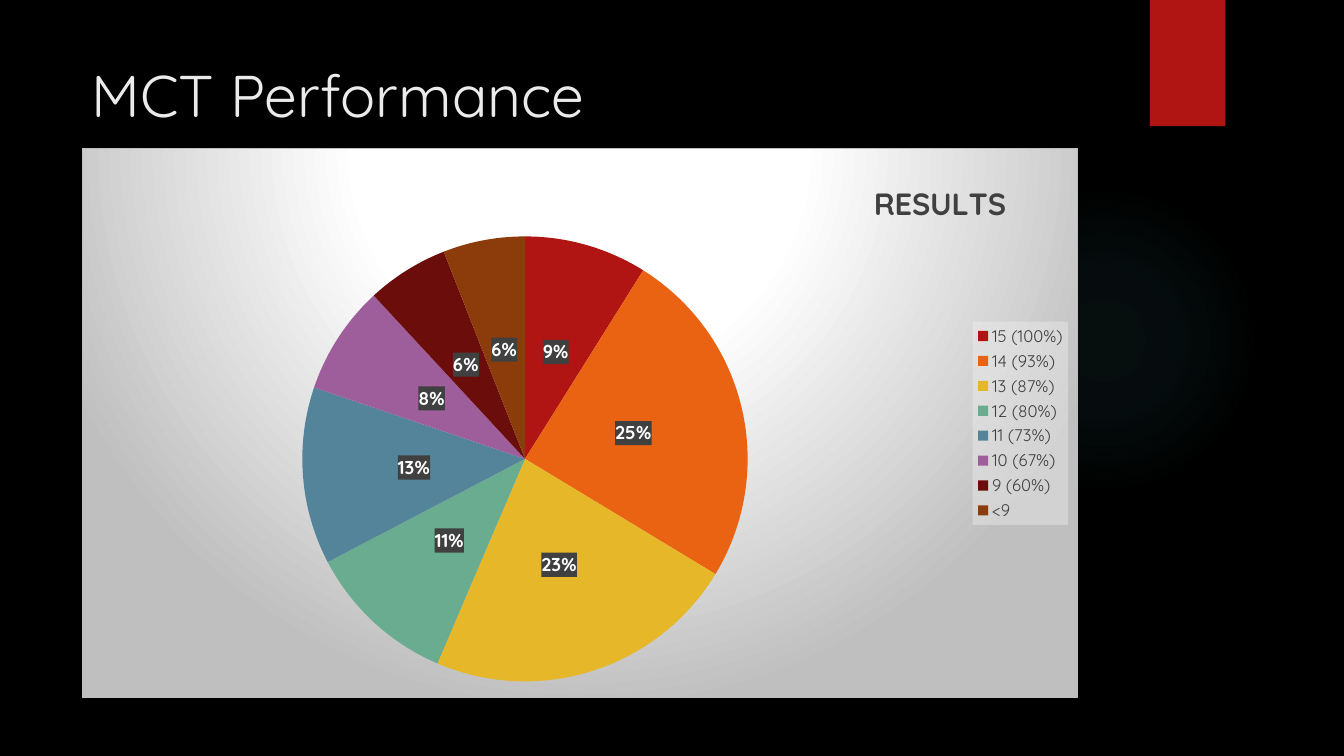
import pptx
import pptx.chart.data
import pptx.dml.color
import pptx.enum.chart
import pptx.enum.shapes
import pptx.enum.text
import pptx.oxml
import pptx.oxml.ns
import pptx.util

Cm = pptx.util.Cm
Pt = pptx.util.Pt

# Score band, share of results in percent, slice colour
RESULTS = [
    ("15 (100%)", 9, "B01513"),
    ("14 (93%)", 25, "EA6312"),
    ("13 (87%)", 23, "E6B729"),
    ("12 (80%)", 11, "6AAC90"),
    ("11 (73%)", 13, "54849A"),
    ("10 (67%)", 8, "9E5E9B"),
    ("9 (60%)", 6, "6A0D0B"),
    ("<9", 6, "8C3B0B"),
]


def color(value):
    return pptx.dml.color.RGBColor.from_string(value)


def parse_xml(text):
    """Parse a fragment, declaring the drawing and chart namespaces."""
    tag_end = min(text.index(mark) for mark in " >" if mark in text)
    namespaces = pptx.oxml.ns.nsdecls("a", "c")
    return pptx.oxml.parse_xml(f"{text[:tag_end]} {namespaces}{text[tag_end:]}")


def solid_fill(value, alpha=100):
    return (f'<a:solidFill><a:srgbClr val="{value}"><a:alpha val="{alpha * 1000}"/>'
            '</a:srgbClr></a:solidFill>')


def radial_fill(stops, focus):
    """Circular gradient from (position, colour, alpha) stops, all in percent."""
    stop_xml = "".join(
        f'<a:gs pos="{position * 1000}"><a:srgbClr val="{value}">'
        f'<a:alpha val="{alpha * 1000}"/></a:srgbClr></a:gs>'
        for position, value, alpha in stops)
    sides = " ".join(f'{side}="{share * 1000}"' for side, share in zip("ltrb", focus))
    return (f'<a:gradFill rotWithShape="1"><a:gsLst>{stop_xml}</a:gsLst>'
            f'<a:path path="circle"><a:fillToRect {sides}/></a:path></a:gradFill>')


def chart_properties(fill, line="<a:ln><a:noFill/></a:ln>"):
    return parse_xml(f"<c:spPr>{fill}{line}</c:spPr>")


def place(element, x, y, width=None, height=None, inner=False):
    """Set the manual layout of a chart part as shares of the chart."""
    for old_layout in element.xpath("./c:layout"):
        element.remove(old_layout)
    target = '<c:layoutTarget val="inner"/>' if inner else ""
    sizes = f'<c:w val="{width}"/><c:h val="{height}"/>' if width else ""
    layout = parse_xml(
        f'<c:layout><c:manualLayout>{target}<c:xMode val="edge"/><c:yMode val="edge"/>'
        f'<c:x val="{x}"/><c:y val="{y}"/>{sizes}</c:manualLayout></c:layout>')
    overlay = element.xpath("./c:overlay")
    if overlay:
        overlay[0].addprevious(layout)
    else:
        element.insert(0, layout)


class SlideBuilder:
    font_name = "Quicksand"

    def __init__(self, presentation, background):
        self.slide = presentation.slides.add_slide(presentation.slide_layouts[6])
        fill = self.slide.background.fill
        fill.solid()
        fill.fore_color.rgb = color(background)

    def style(self, font, size, value, bold=False):
        font.name = self.font_name
        font.size = Pt(size)
        font.bold = bold
        font.color.rgb = color(value)

    def shape(self, kind, left, top, width, height, fill=None):
        shape = self.slide.shapes.add_shape(kind, Cm(left), Cm(top), Cm(width), Cm(height))
        shape.shadow.inherit = False
        shape.line.fill.background()
        if fill:
            shape.fill.solid()
            shape.fill.fore_color.rgb = color(fill)
        return shape

    def glow(self, left, top, size, stops):
        shape = self.shape(pptx.enum.shapes.MSO_SHAPE.OVAL, left, top, size, size)
        fill = parse_xml(radial_fill(stops, (50, 50, 50, 50)))
        shape.element.spPr.find(pptx.oxml.ns.qn("a:prstGeom")).addnext(fill)
        for old_fill in shape.element.spPr.xpath("./a:solidFill"):
            shape.element.spPr.remove(old_fill)

    def text(self, text, left, top, width, height, size, value):
        box = self.slide.shapes.add_textbox(Cm(left), Cm(top), Cm(width), Cm(height))
        frame = box.text_frame
        frame.word_wrap = True
        frame.vertical_anchor = pptx.enum.text.MSO_ANCHOR.MIDDLE
        frame.text = text
        self.style(frame.paragraphs[0].runs[0].font, size, value)

    def pie(self, title, results, left, top, width, height):
        data = pptx.chart.data.CategoryChartData()
        data.categories = [band for band, share, value in results]
        data.add_series("Series 1", [share for band, share, value in results])
        chart = self.slide.shapes.add_chart(
            pptx.enum.chart.XL_CHART_TYPE.PIE,
            Cm(left), Cm(top), Cm(width), Cm(height), data).chart
        self.style(chart.font, 10, "FFFFFF")

        # Chart background and border
        backdrop = radial_fill(
            [(0, "FFFFFF", 100), (39, "FFFFFF", 100), (100, "BFBFBF", 100)],
            (50, -80, 50, 180))
        border = f'<a:ln w="{Pt(0.75)}">{solid_fill("BFBFBF")}</a:ln>'
        chart.element.xpath("./c:chart")[0].addnext(chart_properties(backdrop, border))

        # Title
        chart.has_title = True
        frame = chart.chart_title.text_frame
        frame.text = title
        self.style(frame.paragraphs[0].runs[0].font, 22, "404040", bold=True)
        place(chart.element.xpath("./c:chart/c:title")[0], 0.79, 0.05)

        # Slices
        plot = chart.plots[0]
        plot.vary_by_categories = True
        for index, (band, share, value) in enumerate(results):
            slice_fill = plot.series[0].points[index].format.fill
            slice_fill.solid()
            slice_fill.fore_color.rgb = color(value)
        place(chart.element.xpath(".//c:plotArea")[0], 0.22, 0.16, 0.45, 0.81, inner=True)

        # Percentage labels
        plot.has_data_labels = True
        labels = plot.data_labels
        labels.show_value = False
        labels.show_percentage = True
        labels.number_format = "0%"
        labels.number_format_is_linked = False
        labels.position = pptx.enum.chart.XL_LABEL_POSITION.CENTER
        self.style(labels.font, 13.3, "FFFFFF", bold=True)
        chart.element.xpath(".//c:dLbls/c:txPr")[0].addprevious(
            chart_properties(solid_fill("404040", 90)))

        # Legend
        chart.has_legend = True
        chart.legend.position = pptx.enum.chart.XL_LEGEND_POSITION.RIGHT
        chart.legend.include_in_layout = False
        self.style(chart.legend.font, 12, "404040")
        legend = chart.element.xpath(".//c:legend")[0]
        place(legend, 0.895, 0.315, 0.096, 0.37)
        legend.xpath("./c:txPr")[0].addprevious(chart_properties(solid_fill("F2F2F2", 39)))


def main():
    presentation = pptx.Presentation()
    presentation.slide_width = Cm(33.87)
    presentation.slide_height = Cm(19.05)
    builder = SlideBuilder(presentation, "000000")

    # Backdrop decoration
    builder.glow(23.9, 4.65, 7.82,
                 [(0, "50B9C1", 7), (36, "50B9C1", 6), (69, "50B9C1", 0)])
    builder.shape(pptx.enum.shapes.MSO_SHAPE.RECTANGLE, 28.98, 0, 1.9, 3.18, "B01513")

    # Heading and chart
    builder.text("MCT Performance", 2.06, 1.19, 25.86, 2.34, 42, "EBEBEB")
    builder.pie("RESULTS", RESULTS, 2.06, 3.73, 25.1, 13.87)

    presentation.save("out.pptx")


if __name__ == "__main__":
    main()
